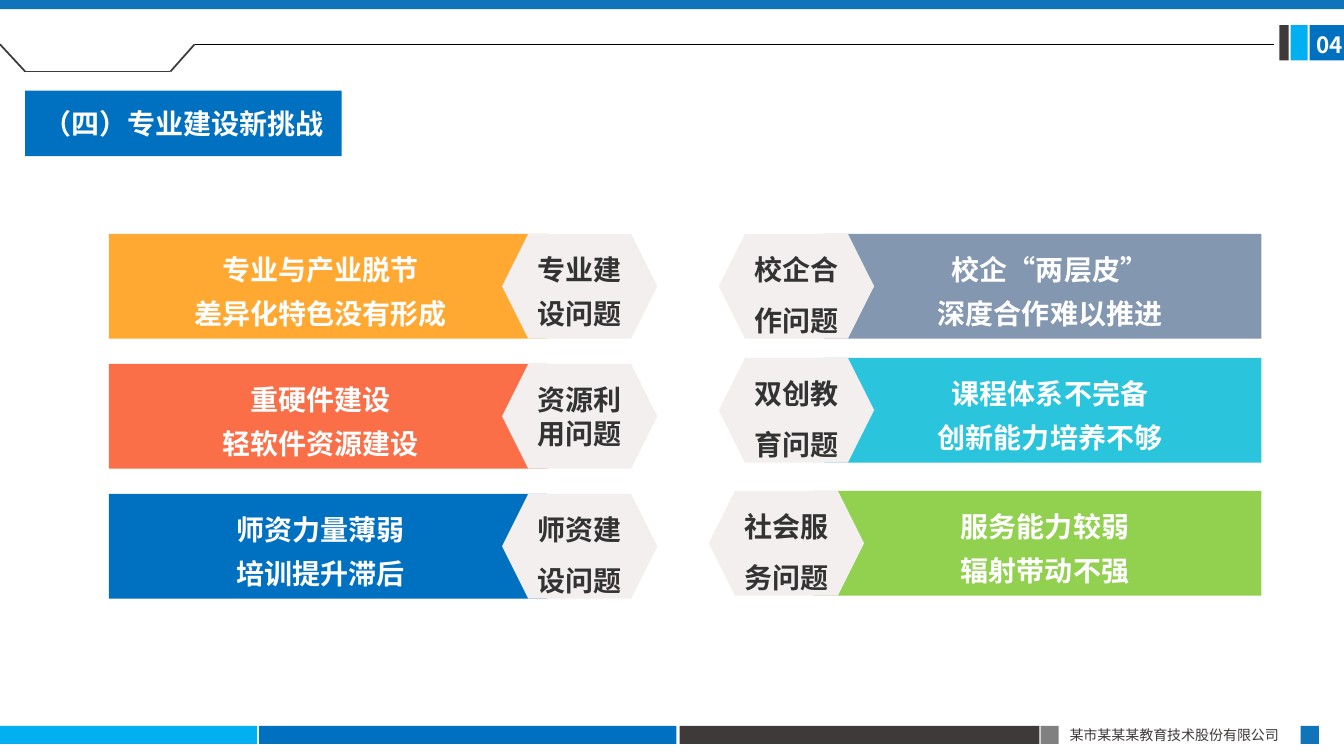
from itertools import pairwise

from lxml import etree
from pptx import Presentation
from pptx.dml.color import RGBColor
from pptx.enum.lang import MSO_LANGUAGE_ID
from pptx.enum.shapes import MSO_CONNECTOR, MSO_SHAPE
from pptx.enum.text import MSO_ANCHOR, PP_ALIGN
from pptx.oxml.ns import qn
from pptx.util import Pt

PX = 9144  # 100 px to the inch
RECT, HEXAGON = MSO_SHAPE.RECTANGLE, MSO_SHAPE.HEXAGON
STRAIGHT = MSO_CONNECTOR.STRAIGHT
TOP, MIDDLE = MSO_ANCHOR.TOP, MSO_ANCHOR.MIDDLE
LEFT, CENTER, JUSTIFY = PP_ALIGN.LEFT, PP_ALIGN.CENTER, PP_ALIGN.JUSTIFY
CHINESE = MSO_LANGUAGE_ID.SIMPLIFIED_CHINESE
LATIN_FONT, CJK_FONT = "Calibri", "Noto Sans CJK SC"

BLACK = RGBColor(0x00, 0x00, 0x00)
WHITE = RGBColor(0xFF, 0xFF, 0xFF)
BLUE = RGBColor(0x00, 0x70, 0xC0)
TOP_BLUE = RGBColor(0x10, 0x74, 0xBB)
SKY = RGBColor(0x00, 0xB0, 0xF0)
CHARCOAL = RGBColor(0x3E, 0x3A, 0x39)
GRAY = RGBColor(0x80, 0x80, 0x80)
PALE = RGBColor(0xF3, 0xEF, 0xEF)
INK = RGBColor(0x33, 0x33, 0x33)
ORANGE = RGBColor(0xFF, 0xA9, 0x32)
CORAL = RGBColor(0xFA, 0x6F, 0x48)
SLATE = RGBColor(0x84, 0x97, 0xB0)
CYAN = RGBColor(0x2A, 0xC4, 0xDC)
GREEN = RGBColor(0x92, 0xD0, 0x50)

# Banner top, hexagon left, banner colour, banner lines, topic, topic line spacing
LEFT_ROWS = [
    (232, 498, ORANGE, ["专业与产业脱节", "差异化特色没有形成"], "专业建设问题", 1.3),
    (361, 498, CORAL, ["重硬件建设", "轻软件资源建设"], "资源利用问题", 1.0),
    (490, 498, BLUE, ["师资力量薄弱", "培训提升滞后"], "师资建设问题", 1.5),
]
RIGHT_ROWS = [
    (232, 713, SLATE, ["校企“两层皮”", "深度合作难以推进"], "校企合作问题", 1.5),
    (355, 713, CYAN, ["课程体系不完备", "创新能力培养不够"], "双创教育问题", 1.5),
    (487, 703, GREEN, ["服务能力较弱", "辐射带动不强"], "社会服务问题", 1.5),
]
LEFT_EDGE, RIGHT_EDGE = 108, 1251
ROW_HEIGHT, HEXAGON_WIDTH, OVERLAP, NOTCH = 104, 154, 45, 40


def write(shape, lines, color, size=20, bold=True, font=LATIN_FONT, align=CENTER,
          anchor=MIDDLE, spacing=1.0, insets=(10, 5, 10, 5), wrap=True):
    frame = shape.text_frame
    frame.word_wrap = wrap
    frame.vertical_anchor = anchor
    (frame.margin_left, frame.margin_top,
     frame.margin_right, frame.margin_bottom) = (inset * PX for inset in insets)
    for index, line in enumerate(lines):
        para = frame.add_paragraph() if index else frame.paragraphs[0]
        para.alignment = align
        para.line_spacing = spacing
        span = para.add_run()
        span.text = line
        span.font.name = font
        span.font.size = Pt(size)
        span.font.bold = bold
        span.font.color.rgb = color
        span.font.language_id = CHINESE
        east_asian = etree.SubElement(span._r.get_or_add_rPr(), qn("a:ea"))
        east_asian.set("typeface", CJK_FONT)


def paint(shape, color):
    shape.shadow.inherit = False
    shape.fill.solid()
    shape.fill.fore_color.rgb = color
    shape.line.fill.background()
    return shape


def add_block(page, box, color, kind=RECT):
    return paint(page.shapes.add_shape(kind, *(side * PX for side in box)), color)


def add_text(page, box, text, color, **style):
    shape = page.shapes.add_textbox(*(side * PX for side in box))
    write(shape, [text], color, font=CJK_FONT, anchor=TOP, **style)


def add_path(page, points, color, width):
    for start, end in pairwise(points):
        line = page.shapes.add_connector(
            STRAIGHT, *(value * PX for value in start + end))
        line.line.color.rgb = color
        line.line.width = Pt(width)
        etree.SubElement(line._element.spPr, qn("a:effectLst"))


def add_footer(page, top):
    strips = [(0, 255, SKY), (257, 414, BLUE), (674, 357, CHARCOAL),
              (1032, 18, GRAY), (1290, 18, TOP_BLUE)]
    for left, width, color in strips:
        add_block(page, (left, top, width, 18), color)
    add_text(page, (1051, top - 4, 240, 27), "某市某某某教育技术股份有限公司",
             CHARCOAL, size=10, bold=False, align=JUSTIFY)


def add_header(page, width):
    add_block(page, (0, 0, width, 9), TOP_BLUE)
    # Tab outline and rule
    add_path(page, [(0, 44), (25, 71), (169, 71), (193, 44)], CHARCOAL, 1.25)
    add_path(page, [(193, 44), (1264, 44)], BLACK, 0.5)
    # Page number
    for left, block_width, color in [(1269, 9, CHARCOAL), (1280, 17, SKY),
                                     (1299, 35, BLUE)]:
        add_block(page, (left, 25, block_width, 35), color)
    add_text(page, (1296, 26, 50, 37), "04", WHITE, size=16, align=LEFT, wrap=False)


def add_title(page, box):
    write(add_block(page, box, BLUE), ["（四）专业建设新挑战"], WHITE)


def add_challenge(page, outer, inner, row, insets):
    """Draw a banner from its outer edge to its notched inner edge, and its topic."""
    top, hexagon_left, color, lines, topic, spacing = row
    notch = inner + (NOTCH if outer > inner else -NOTCH)
    bottom = top + ROW_HEIGHT
    outline = page.shapes.build_freeform(outer, top, scale=PX)
    outline.add_line_segments([(inner, top), (notch, top + ROW_HEIGHT // 2),
                               (inner, bottom), (outer, bottom)])
    banner = paint(outline.convert_to_shape(), color)
    write(banner, lines, WHITE, spacing=1.3, insets=insets)
    hexagon = add_block(page, (hexagon_left, top, HEXAGON_WIDTH, ROW_HEIGHT),
                        PALE, HEXAGON)
    write(hexagon, [topic], INK, spacing=spacing, insets=(0, 0, 0, 0))


def add_challenges(page):
    for row in LEFT_ROWS:
        add_challenge(page, LEFT_EDGE, row[1] + OVERLAP, row, (16, 5, 31, 5))
    for row in RIGHT_ROWS:
        inner = row[1] + HEXAGON_WIDTH - OVERLAP - 5
        add_challenge(page, RIGHT_EDGE, inner, row, (31, 5, 16, 5))


def main():
    deck = Presentation()
    deck.slide_width, deck.slide_height = 1333 * PX, 750 * PX
    page = deck.slides.add_slide(deck.slide_layouts[6])
    add_footer(page, 720)
    add_header(page, 1333)
    add_title(page, (25, 90, 314, 65))
    add_challenges(page)
    deck.save("out.pptx")


if __name__ == "__main__":
    main()
